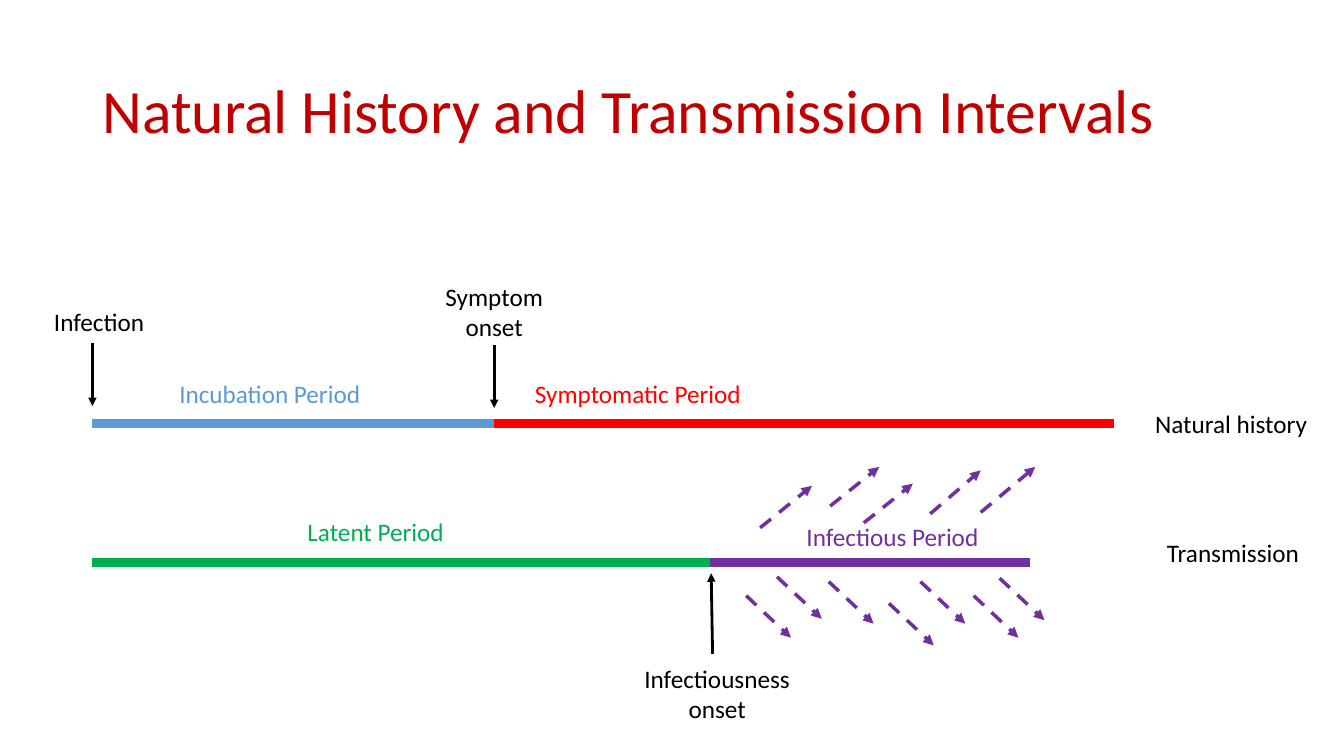
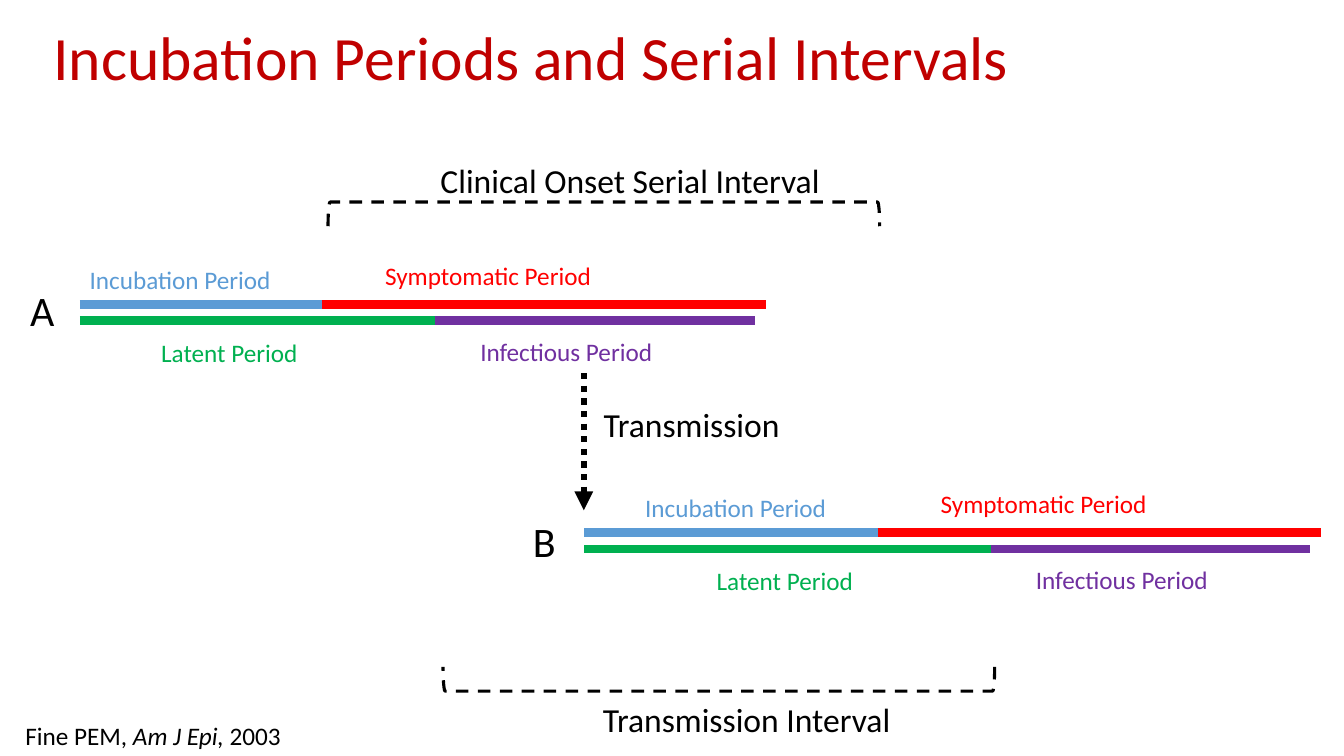
from dataclasses import dataclass

import lxml.etree
import pptx
import pptx.dml.color
import pptx.enum.dml
import pptx.enum.shapes
import pptx.enum.text
import pptx.oxml.ns
import pptx.util

Pt = pptx.util.Pt
Align = pptx.enum.text.PP_ALIGN
Dash = pptx.enum.dml.MSO_LINE
qn = pptx.oxml.ns.qn

FONT = "Calibri"
COLOURS = {
    "title": "C00000",
    "ink": "000000",
    "incubation": "5B9BD5",
    "symptomatic": "FF0000",
    "latent": "00B050",
    "infectious": "7030A0",
}
LABEL_WIDTH = 177
BOTTOM_CENTRE = 2


@dataclass(frozen=True)
class Label:
    text: str
    left: float
    top: float
    width: float = LABEL_WIDTH
    height: float = 29
    colour: str = "ink"
    size: float = 18
    align: Align = Align.LEFT


@dataclass(frozen=True)
class Stroke:
    x1: float
    y1: float
    x2: float
    y2: float
    colour: str = "ink"
    weight: float = 2
    dash: Dash | None = None
    arrow: bool = True


@dataclass(frozen=True)
class Case:
    """One patient; shift_x and shift_y move everything but the bars' start."""
    name: str
    name_left: float
    name_top: float
    start: float
    shift_x: float = 0
    shift_y: float = 0


def rgb(name: str) -> pptx.dml.color.RGBColor:
    return pptx.dml.color.RGBColor.from_string(COLOURS[name])


def style_paragraph(para, size: float, colour: str, align: Align) -> None:
    para.alignment = align
    para.font.name = FONT
    para.font.size = Pt(size)
    para.font.color.rgb = rgb(colour)


def add_page(deck, title: str, left: float, top: float):
    page = deck.slides.add_slide(deck.slide_layouts[5])
    box = page.shapes.title
    box.left, box.top, box.width, box.height = Pt(left), Pt(top), Pt(828), Pt(104.4)
    frame = box.text_frame
    frame.text = title
    frame.auto_size = pptx.enum.text.MSO_AUTO_SIZE.NONE
    frame.vertical_anchor = pptx.enum.text.MSO_ANCHOR.MIDDLE
    para = frame.paragraphs[0]
    para.line_spacing = 0.9
    style_paragraph(para, 44, "title", Align.LEFT)
    return page


def add_label(page, label: Label):
    box = page.shapes.add_textbox(
        Pt(label.left), Pt(label.top), Pt(label.width), Pt(label.height))
    box.text_frame.word_wrap = True
    para = box.text_frame.paragraphs[0]
    if label.text:
        para.add_run().text = label.text
    style_paragraph(para, label.size, label.colour, label.align)
    return box


def add_stroke(page, stroke: Stroke):
    line = page.shapes.add_connector(
        pptx.enum.shapes.MSO_CONNECTOR.STRAIGHT,
        Pt(stroke.x1), Pt(stroke.y1), Pt(stroke.x2), Pt(stroke.y2))
    line.line.color.rgb = rgb(stroke.colour)
    line.line.width = Pt(stroke.weight)
    if stroke.dash is not None:
        line.line.dash_style = stroke.dash
    properties = line._element.spPr
    if stroke.arrow:
        outline = properties.find(qn("a:ln"))
        lxml.etree.SubElement(outline, qn("a:tailEnd"), type="triangle")
    lxml.etree.SubElement(properties, qn("a:effectLst"))
    return line


def add_bar(page, period: str, start: float, end: float, y: float) -> None:
    add_stroke(page, Stroke(start, y, end, y, period, 6, arrow=False))


def add_period_label(page, period: str, left: float, top: float) -> None:
    add_label(page, Label(f"{period.capitalize()} Period", left, top, colour=period))


def add_bracket(page, centre_x: float, centre_y: float, rotation: float) -> None:
    """Draw a dashed bracket lying on its side around the given centre."""
    depth, span = 17.3, 394
    bracket = page.shapes.add_shape(
        pptx.enum.shapes.MSO_SHAPE.LEFT_BRACKET,
        Pt(centre_x - depth / 2), Pt(centre_y - span / 2), Pt(depth), Pt(span))
    bracket.rotation = rotation
    bracket.shadow.inherit = False
    bracket.fill.background()
    bracket.line.color.rgb = rgb("ink")
    bracket.line.width = Pt(2.25)
    bracket.line.dash_style = Dash.DASH


def add_case(page, case: Case) -> None:
    dx, dy = case.shift_x, case.shift_y
    symptom_onset, infectious_onset = 230 + dx, 311 + dx
    upper, lower = 217.5 + dy, 229 + dy
    add_bar(page, "incubation", case.start, symptom_onset, upper)
    add_bar(page, "symptomatic", symptom_onset, 547 + dx, upper)
    add_bar(page, "infectious", infectious_onset, 539 + dx, lower)
    add_bar(page, "latent", case.start, infectious_onset, lower)
    for period, left, top in (
        ("incubation", 57, 185),
        ("symptomatic", 268, 182.5),
        ("infectious", 336, 236.5),
        ("latent", 108, 237.5),
    ):
        add_period_label(page, period, left + dx, top + dy)
    add_label(page, Label(case.name, case.name_left, case.name_top, 50, 44, size=30))


def build_natural_history(deck) -> None:
    page = add_page(deck, "Natural History and Transmission Intervals", 66, 29)
    infection, symptoms, infectious = 66, 353, 507.5
    history_y, transmission_y = 302.4, 401.8

    add_bar(page, "incubation", infection, symptoms, history_y)
    add_bar(page, "symptomatic", symptoms, 796, history_y)
    add_bar(page, "latent", infection, infectious - 0.6, transmission_y)
    add_bar(page, "infectious", infectious, 736, transmission_y)

    rising = ((543, 377, 37, 30), (593, 361.5, 35, 28), (617, 373.5, 35, 28),
              (664.5, 367, 36, 31), (700.5, 366, 39, 32.5))
    falling = ((533, 425.5), (555, 412), (592, 415.5), (635, 431),
               (657.5, 415.5), (695.5, 425.5), (714, 413))
    spread = [(x, y, x + run, y - rise) for x, y, run, rise in rising]
    spread += [(x, y, x + 32, y + 30) for x, y in falling]
    for ends in spread:
        add_stroke(page, Stroke(*ends, "infectious", 2.5, Dash.DASH))

    for period, left, top in (
        ("incubation", 121, 267),
        ("symptomatic", 375, 267),
        ("infectious", 569, 368.5),
        ("latent", 212.5, 365),
    ):
        add_period_label(page, period, left, top)

    for label in (
        Label("Infection", 31.5, 215, 83),
        Label("Natural history", 818, 288, 134),
        Label("Transmission", 826.5, 380, 125),
        Label("Infectiousness onset", 437, 470, 150.5, 51, align=Align.CENTER),
    ):
        add_label(page, label)
    onset_box = add_label(
        page, Label("Symptom onset", 301, 197.3, 104, 49, align=Align.CENTER))

    add_stroke(page, Stroke(infection, 245, infection, 290))
    onset_arrow = add_stroke(page, Stroke(symptoms, 246.3, symptoms, 291.5))
    onset_arrow.begin_connect(onset_box, BOTTOM_CENTRE)
    add_stroke(page, Stroke(509, 467, 508, 409.5))


def build_serial_intervals(deck) -> None:
    page = add_page(deck, "Incubation Periods and Serial Intervals", 31, -8.6)
    add_case(page, Case("A", 14.5, 199.5, 57))
    add_case(page, Case("B", 373.5, 364.5, 417.5, 397 - 0.2, 163))

    add_stroke(page, Stroke(417, 266.5, 417, 364.5, "ink", 4.5, Dash.ROUND_DOT))
    add_bracket(page, 431.3, 153, 90)
    add_bracket(page, 513.5, 485, 270)
    for text, left, top in (
        ("Transmission", 424, 285),
        ("Clinical Onset Serial Interval", 307.5, 111),
        ("Transmission Interval", 423.5, 496),
    ):
        add_label(page, Label(text, left, top, 286.5, 36, size=24))

    citation = add_label(page, Label("", 11, 511, 268.5))
    para = citation.text_frame.paragraphs[0]
    for text, italic in (("Fine PEM, ", False), ("Am J Epi, ", True), ("2003", False)):
        span = para.add_run()
        span.text = text
        span.font.italic = italic


def main() -> None:
    deck = pptx.Presentation()
    deck.slide_width, deck.slide_height = Pt(960), Pt(540)
    build_natural_history(deck)
    build_serial_intervals(deck)
    deck.save("out.pptx")


if __name__ == "__main__":
    main()
